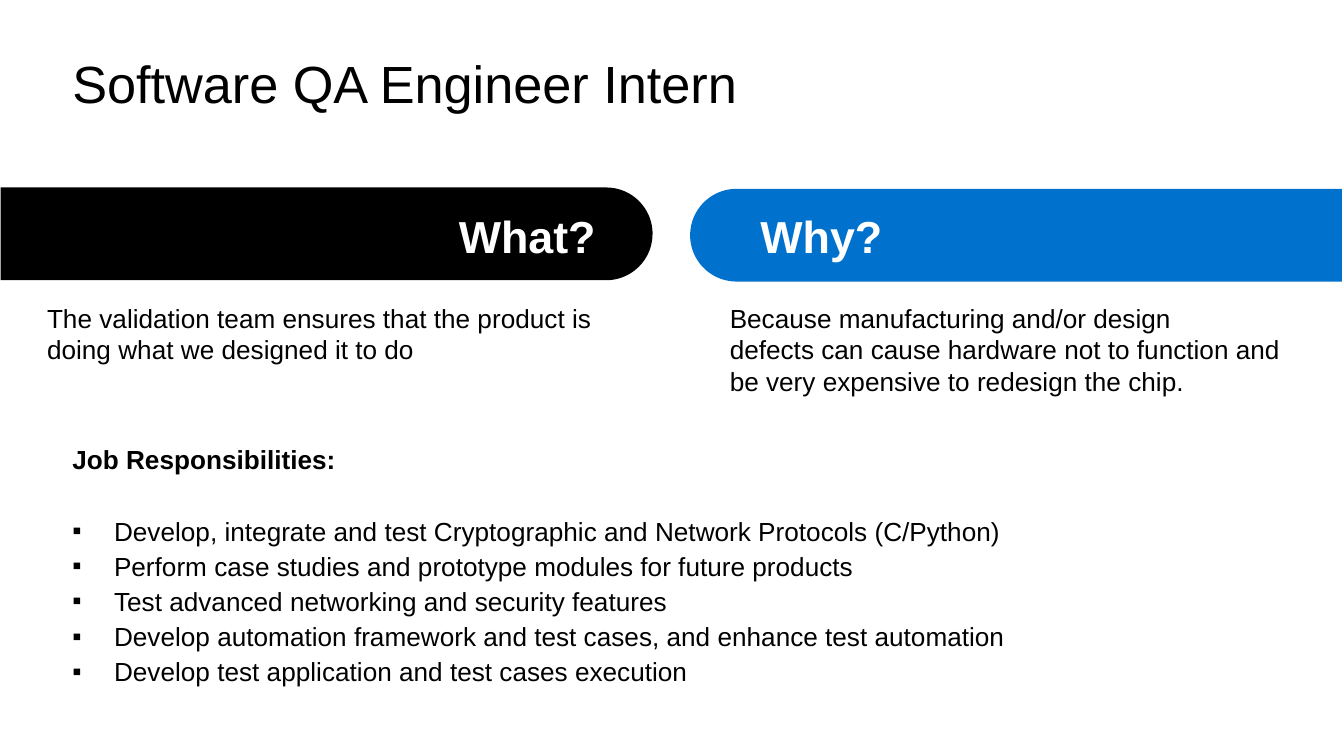
from dataclasses import dataclass

from lxml import etree
from pptx import Presentation
from pptx.dml.color import RGBColor
from pptx.enum import shapes, text
from pptx.oxml.ns import qn
from pptx.util import Inches, Pt


@dataclass(frozen=True)
class Theme:
    font: str = "Arial"
    black: RGBColor = RGBColor(0x00, 0x00, 0x00)
    blue: RGBColor = RGBColor(0x00, 0x72, 0xCE)
    white: RGBColor = RGBColor(0xFF, 0xFF, 0xFF)
    title: int = 28
    heading: int = 24
    body: int = 14


THEME = Theme()
SLIDE_WIDTH = 10
BANNER_LENGTH = 4.85
BANNER_HEIGHT = 0.69
HARD_SPACE = chr(160)

RESPONSIBILITIES = [
    "Develop, integrate and test Cryptographic and Network Protocols (C/Python)",
    "Perform case studies and prototype modules for future products",
    "Test advanced networking and security features",
    "Develop automation framework and test cases, and enhance test automation",
    "Develop test application and test cases execution",
]


def add_text_frame(slide, left, top, width, height, anchor=text.MSO_ANCHOR.TOP):
    box = slide.shapes.add_textbox(
        Inches(left), Inches(top), Inches(width), Inches(height))
    frame = box.text_frame
    frame.word_wrap = True
    frame.vertical_anchor = anchor
    return frame


def format_paragraph(paragraph, size, color=THEME.black, bold=False):
    for run in paragraph.runs:
        run.font.name = THEME.font
        run.font.size = Pt(size)
        run.font.color.rgb = color
        run.font.bold = bold


def add_title(slide, wording):
    frame = add_text_frame(slide, 0.44, 0.1, 8.62, 1.09, text.MSO_ANCHOR.MIDDLE)
    frame.text = wording
    frame.paragraphs[0].line_spacing = 0.9
    format_paragraph(frame.paragraphs[0], THEME.title)


def add_banner(slide, center_x, center_y, rotation, color):
    """Add a bar on its side, with its two rounded corners facing inwards."""
    banner = slide.shapes.add_shape(
        shapes.MSO_SHAPE.ROUND_2_SAME_RECTANGLE,
        Inches(center_x - BANNER_HEIGHT / 2), Inches(center_y - BANNER_LENGTH / 2),
        Inches(BANNER_HEIGHT), Inches(BANNER_LENGTH))
    banner.adjustments[0] = 0.5
    banner.adjustments[1] = 0
    banner.rotation = rotation
    banner.shadow.inherit = False
    banner.fill.solid()
    banner.fill.fore_color.rgb = color
    banner.line.fill.background()


def add_heading(slide, left, wording, alignment):
    frame = add_text_frame(slide, left, 1.41, 2.4, BANNER_HEIGHT, text.MSO_ANCHOR.MIDDLE)
    frame.text = wording
    frame.paragraphs[0].alignment = alignment
    format_paragraph(frame.paragraphs[0], THEME.heading, THEME.white, bold=True)


def add_answer(slide, left, width, height, parts):
    """Add a paragraph whose parts are joined by non-breaking spaces."""
    frame = add_text_frame(slide, left, 2.25, width, height)
    frame.margin_left = frame.margin_right = 0
    frame.margin_top = frame.margin_bottom = 0
    frame.auto_size = text.MSO_AUTO_SIZE.SHAPE_TO_FIT_TEXT
    frame.text = HARD_SPACE.join(parts)
    frame.paragraphs[0].space_after = Pt(9)
    format_paragraph(frame.paragraphs[0], THEME.body)


def set_bullet(paragraph, character, indent):
    properties = paragraph._p.get_or_add_pPr()
    properties.set("marL", str(Inches(indent)))
    properties.set("indent", str(-Inches(indent)))
    etree.SubElement(properties, qn("a:buFont"), typeface=THEME.font)
    etree.SubElement(properties, qn("a:buChar"), char=character)


def add_responsibilities(slide, heading, items):
    frame = add_text_frame(slide, 0.44, 3.25, 9.11, 1.01)
    frame.text = heading
    frame.paragraphs[0].space_after = Pt(21.5)
    format_paragraph(frame.paragraphs[0], THEME.body, bold=True)
    for item in items:
        paragraph = frame.add_paragraph()
        paragraph.text = item
        paragraph.space_after = Pt(2)
        set_bullet(paragraph, "▪", 0.31)
        format_paragraph(paragraph, THEME.body)


def main():
    presentation = Presentation()
    presentation.slide_width = Inches(SLIDE_WIDTH)
    presentation.slide_height = Inches(SLIDE_WIDTH * 9 / 16)
    slide = presentation.slides.add_slide(presentation.slide_layouts[6])

    add_banner(slide, 7.56, 1.75, 270, THEME.blue)
    add_title(slide, "Software QA Engineer Intern")
    add_heading(slide, 5.56, "Why?", text.PP_ALIGN.LEFT)
    add_answer(slide, 5.43, 4.22, 0.71, [
        "Because manufacturing and/or", "design defects",
        "can cause hardware not to", "function and be",
        "very expensive to redesign the chip."])

    add_banner(slide, 2.43, 1.74, 90, THEME.black)
    add_heading(slide, 2.13, "What?", text.PP_ALIGN.RIGHT)
    add_answer(slide, 0.35, 4.12, 0.47, [
        "The validation team ensures that the",
        "product is doing what we designed it to do"])

    add_responsibilities(slide, "Job Responsibilities:", RESPONSIBILITIES)
    presentation.save("out.pptx")


if __name__ == "__main__":
    main()
